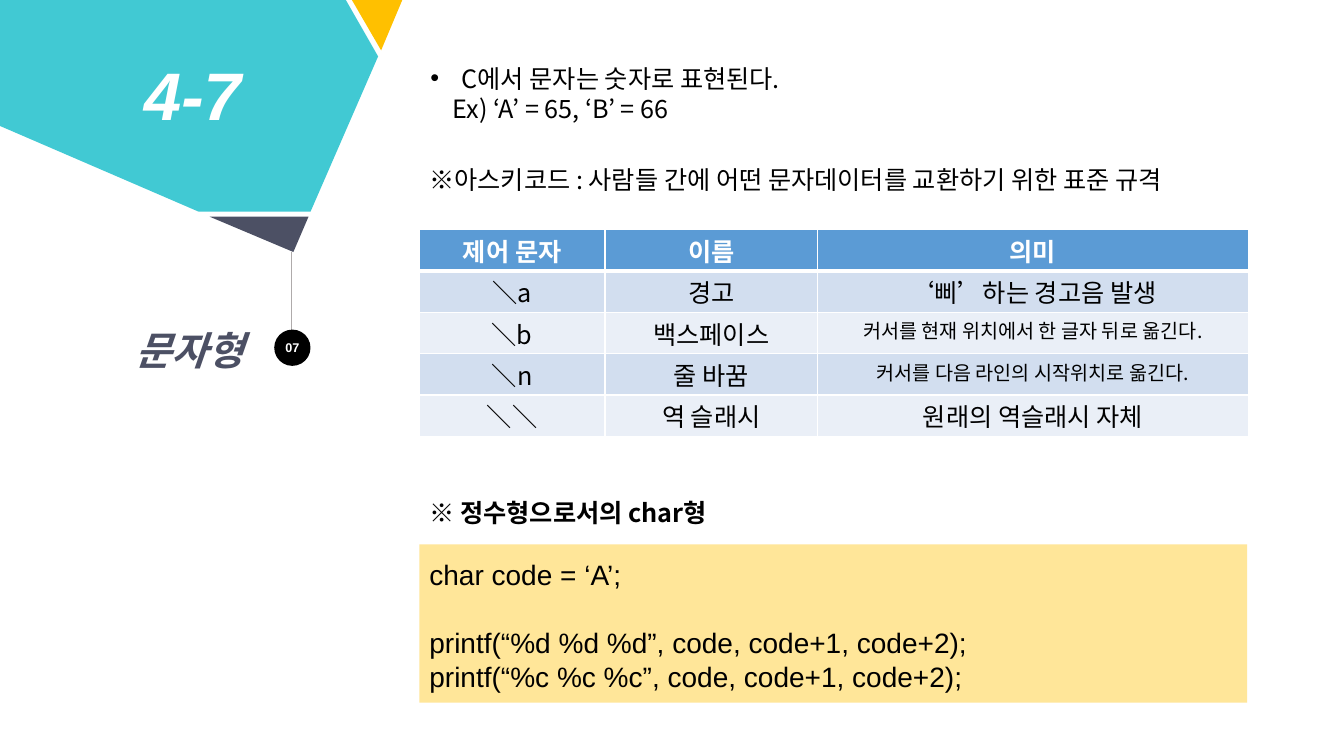
import pptx
import pptx.util
import pptx.dml.color
import pptx.enum.shapes
import pptx.enum.text
import pptx.oxml
import pptx.oxml.ns
import lxml.etree

Inches = pptx.util.Inches
Pt = pptx.util.Pt
RGBColor = pptx.dml.color.RGBColor
Align = pptx.enum.text.PP_ALIGN
Anchor = pptx.enum.text.MSO_ANCHOR
Preset = pptx.enum.shapes.MSO_SHAPE
qn = pptx.oxml.ns.qn

BLACK = RGBColor(0x00, 0x00, 0x00)
WHITE = RGBColor(0xFF, 0xFF, 0xFF)
GRAY = RGBColor(0xAF, 0xAB, 0xAB)
GOLD = RGBColor(0xFF, 0xC0, 0x00)
PALE_GOLD = RGBColor(0xFF, 0xE6, 0x99)
TEAL = RGBColor(0x41, 0xC9, 0xD3)
SLATE = RGBColor(0x4C, 0x50, 0x64)
HEADER_BLUE = RGBColor(0x5B, 0x9B, 0xD5)
BAND_DARK = RGBColor(0xD2, 0xDE, 0xEF)
BAND_LIGHT = RGBColor(0xEA, 0xEF, 0xF7)

KOREAN_FONT = "Noto Sans CJK KR"
CODE_FONT = "Arial"
LINE_PITCH = 1.22
CONTENT_LEFT, CONTENT_WIDTH = 4.16, 8.21


class SlideBuilder:
    """Holds the text style and the slide being built."""

    def __init__(self, slide):
        self.slide = slide
        self.shapes = slide.shapes

    def fill_text(self, frame, text, size, color=BLACK, bold=False, italic=False,
                  font=KOREAN_FONT, align=Align.LEFT):
        frame.text = text
        frame.word_wrap = True
        for paragraph in frame.paragraphs:
            paragraph.alignment = align
            paragraph.line_spacing = Pt(round(size * LINE_PITCH, 1))
            for run in paragraph.runs:
                run.font.size = Pt(size)
                run.font.bold = bold
                run.font.italic = italic
                run.font.color.rgb = color
                run.font.name = font
                east_asian = lxml.etree.SubElement(run._r.get_or_add_rPr(), qn("a:ea"))
                east_asian.set("typeface", KOREAN_FONT)

    def title(self, text, box, size, **style):
        shape = self.shapes.title
        shape.left, shape.top, shape.width, shape.height = map(Inches, box)
        frame = shape.text_frame
        frame.auto_size = pptx.enum.text.MSO_AUTO_SIZE.NONE
        frame.vertical_anchor = Anchor.TOP
        self.fill_text(frame, text, size, **style)

    def text(self, text, box, size, **style):
        frame = self.shapes.add_textbox(*map(Inches, box)).text_frame
        self.fill_text(frame, text, size, **style)
        return frame

    def paint(self, shape, color):
        shape.shadow.inherit = False
        shape.fill.solid()
        shape.fill.fore_color.rgb = color
        shape.line.fill.background()

    def preset(self, kind, box, color):
        shape = self.shapes.add_shape(kind, *map(Inches, box))
        self.paint(shape, color)
        return shape.text_frame

    def polygon(self, points, color):
        corners = [(Inches(x), Inches(y)) for x, y in points]
        builder = self.shapes.build_freeform(*corners[0])
        builder.add_line_segments(corners[1:], close=True)
        self.paint(builder.convert_to_shape(), color)

    def line(self, start, end, color, width):
        connector = self.shapes.add_connector(
            pptx.enum.shapes.MSO_CONNECTOR.STRAIGHT, *map(Inches, start + end))
        connector.line.color.rgb = color
        connector.line.width = Pt(width)
        lxml.etree.SubElement(connector._element.spPr, qn("a:effectLst"))

    def bullet(self, paragraph, indent):
        properties = paragraph._p.get_or_add_pPr()
        properties.set("marL", str(Inches(indent)))
        properties.set("indent", str(-Inches(indent)))
        lxml.etree.SubElement(properties, qn("a:buFont")).set("typeface", CODE_FONT)
        lxml.etree.SubElement(properties, qn("a:buChar")).set("char", "•")

    def borders(self, cell, bottom_width):
        properties = cell._tc.get_or_add_tcPr()
        widths = {"L": 1, "R": 1, "T": 1, "B": bottom_width}
        for position, (side, width) in enumerate(widths.items()):
            border = properties.makeelement(qn(f"a:ln{side}"), {"w": str(Pt(width))})
            fill = lxml.etree.SubElement(border, qn("a:solidFill"))
            lxml.etree.SubElement(fill, qn("a:srgbClr")).set("val", str(WHITE))
            properties.insert(position, border)

    def table(self, rows, left, top, widths, row_height, size, small_cells, small_size):
        table = self.shapes.add_table(
            len(rows), len(widths), Inches(left), Inches(top),
            Inches(sum(widths)), Inches(row_height * len(rows))).table
        for column, width in zip(table.columns, widths):
            column.width = Inches(width)
        for r, values in enumerate(rows):
            table.rows[r].height = Inches(row_height)
            header = r == 0
            band = HEADER_BLUE if header else (BAND_LIGHT, BAND_DARK)[r % 2]
            for c, value in enumerate(values):
                cell = table.cell(r, c)
                cell.margin_top, cell.margin_bottom = Inches(0.08), Inches(0.02)
                cell.fill.solid()
                cell.fill.fore_color.rgb = band
                self.borders(cell, 3 if header else 1)
                self.fill_text(cell.text_frame, value,
                               small_size if (r, c) in small_cells else size,
                               color=WHITE if header else BLACK, bold=header,
                               align=Align.CENTER)


def main():
    presentation = pptx.Presentation()
    presentation.slide_width = Inches(13.33)
    presentation.slide_height = Inches(7.5)
    slide = presentation.slides.add_slide(presentation.slide_layouts[5])
    builder = SlideBuilder(slide)

    # Corner decoration and section number
    builder.line((2.89, 2.5), (2.89, 3.63), GRAY, 0.5)
    builder.polygon([(3.49, 0), (4.01, 0), (3.99, 0), (3.78, 0.5)], GOLD)
    builder.polygon([(0, 0), (3.43, 0), (3.75, 0.56), (3.08, 2.1),
                     (1.97, 2.1), (0, 1.25)], TEAL)
    builder.polygon([(2.08, 2.15), (3.06, 2.15), (2.91, 2.5)], SLATE)
    builder.text("4-7", (1.33, 0.47, 1.4, 0.91), 48, color=WHITE,
                 bold=True, italic=True, font=CODE_FONT)

    # Slide title with its numbered dot
    badge = builder.preset(Preset.OVAL, (2.72, 3.27, 0.36, 0.36), BLACK)
    badge.margin_left = badge.margin_right = badge.margin_top = badge.margin_bottom = 0
    badge.vertical_anchor = Anchor.MIDDLE
    builder.fill_text(badge, "07", 9, color=WHITE, bold=True, font=CODE_FONT,
                      align=Align.CENTER)
    builder.title("문자형", (0.11, 3.18, 2.41, 0.57), 28, color=SLATE,
                  bold=True, italic=True, align=Align.RIGHT)

    # Character codes
    intro = builder.text("C에서 문자는 숫자로 표현된다.\nEx) ‘A’ = 65, ‘B’ = 66",
                         (4.17, 0.57, 4.03, 0.71), 18)
    builder.bullet(intro.paragraphs[0], 0.31)
    intro.paragraphs[1]._p.get_or_add_pPr().set("marL", str(Inches(0.22)))
    builder.text("※아스키코드 : 사람들 간에 어떤 문자데이터를 교환하기 위한 표준 규격",
                 (CONTENT_LEFT, 1.58, 8.38, 0.4), 18)

    # Control characters
    builder.table(
        [("제어 문자", "이름", "의미"),
         ("＼a", "경고", "‘삐’하는 경고음 발생"),
         ("＼b", "백스페이스", "커서를 현재 위치에서 한 글자 뒤로 옮긴다."),
         ("＼n", "줄 바꿈", "커서를 다음 라인의 시작위치로 옮긴다."),
         ("＼＼", "역 슬래시", "원래의 역슬래시 자체")],
        CONTENT_LEFT, 2.28, (1.84, 2.11, 4.27), 0.41, 18,
        small_cells={(2, 2), (3, 2)}, small_size=14)

    # Code example
    builder.text("※ 정수형으로서의 char형", (CONTENT_LEFT, 4.88, 3.11, 0.4), 18, bold=True)
    code = builder.preset(Preset.RECTANGLE, (CONTENT_LEFT, 5.4, CONTENT_WIDTH, 1.57),
                          PALE_GOLD)
    code.vertical_anchor = Anchor.TOP
    code.margin_top = Inches(0.13)
    builder.fill_text(code, "char code = ‘A’;\n"
                            "printf(“%d %d %d”, code, code+1, code+2);\n"
                            "printf(“%c %c %c”, code, code+1, code+2);",
                      20, font=CODE_FONT)
    code.paragraphs[1].space_before = Pt(24)

    presentation.save("out.pptx")


if __name__ == "__main__":
    main()
